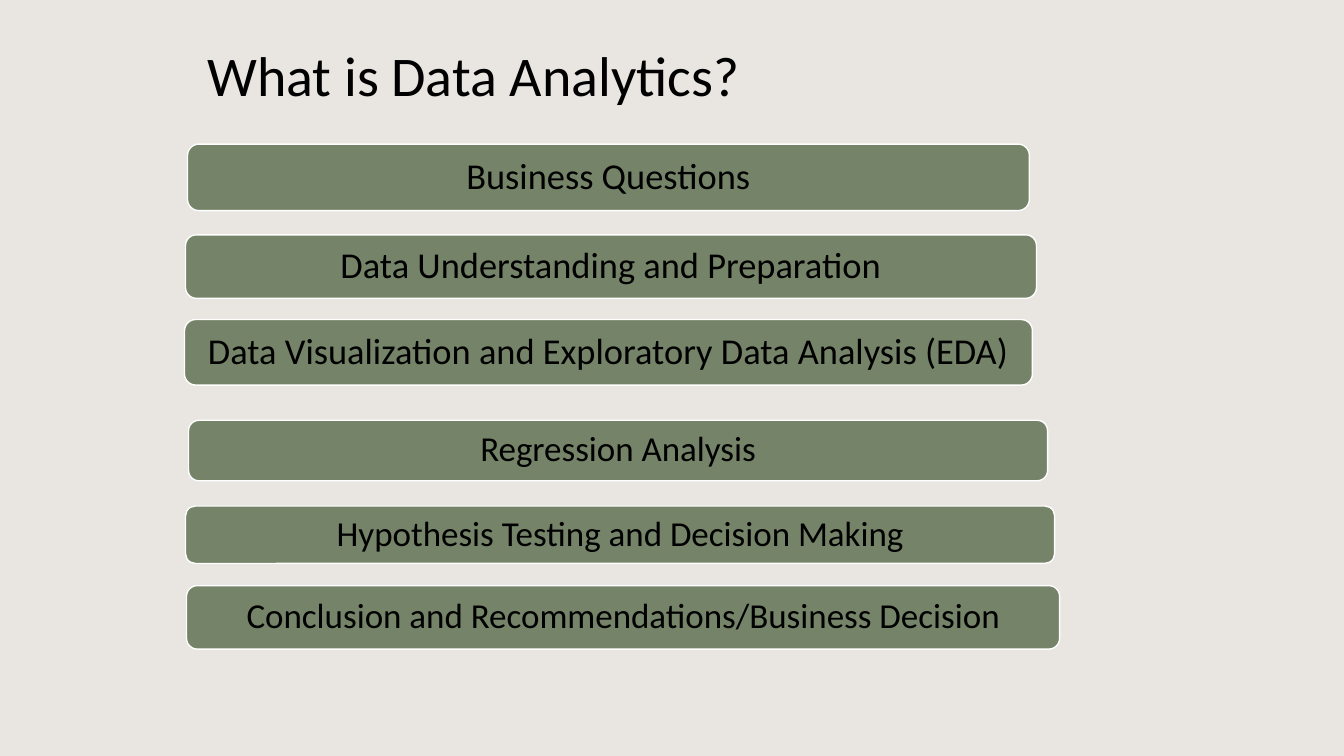
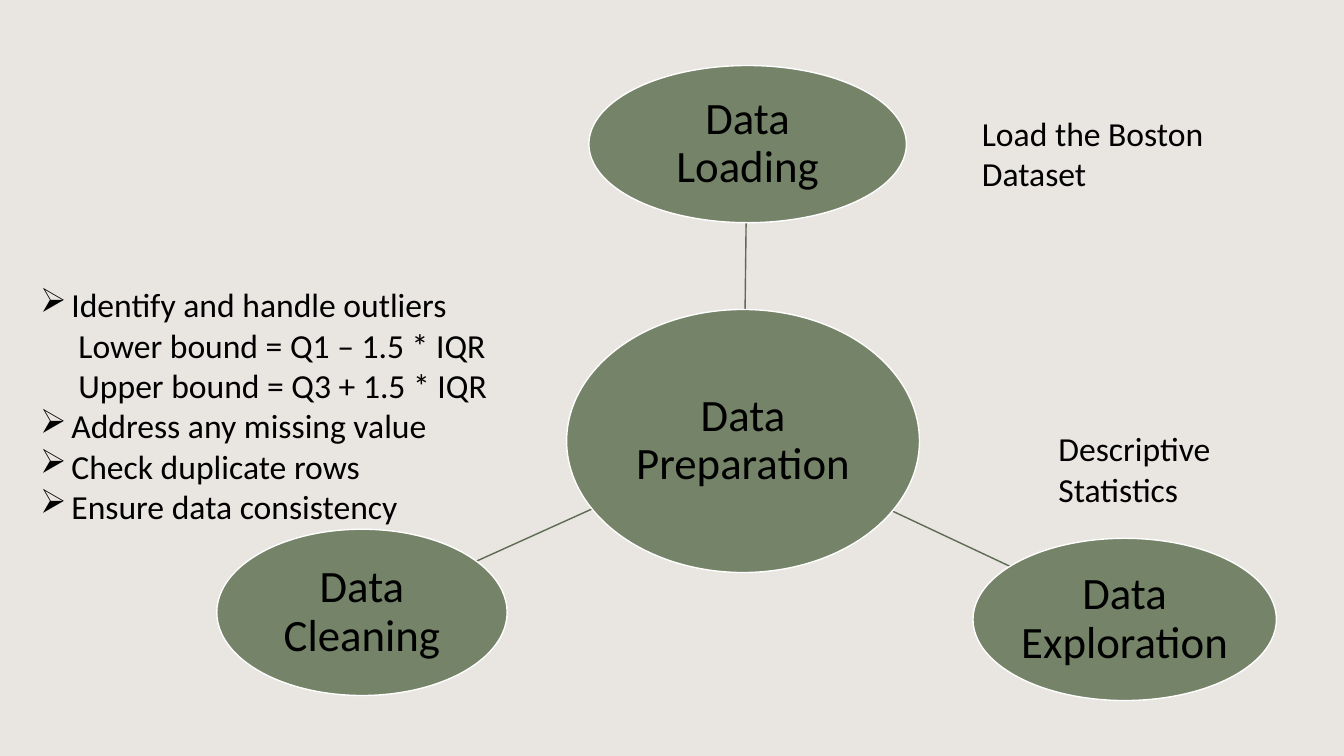
from lxml.etree import SubElement
from pptx import Presentation
from pptx.dml.color import RGBColor
from pptx.enum.shapes import MSO_CONNECTOR, MSO_SHAPE
from pptx.enum.text import MSO_ANCHOR, PP_ALIGN
from pptx.oxml.ns import qn
from pptx.util import Inches, Pt

FONT = "Calibri"
SAND = RGBColor(0xE9, 0xE5, 0xE1)
GREEN = RGBColor(0x75, 0x84, 0x68)
MOSS = RGBColor(0x5E, 0x6A, 0x53)
WHITE = RGBColor(0xFF, 0xFF, 0xFF)
BLACK = RGBColor(0x00, 0x00, 0x00)


def add_node(slide, kind, box, text, size, inset):
    """Add a green shape with centred text."""
    node = slide.shapes.add_shape(kind, *map(Inches, box))
    node.shadow.inherit = False
    node.fill.solid()
    node.fill.fore_color.rgb = GREEN
    node.line.color.rgb = WHITE
    node.line.width = Pt(1)
    if kind == MSO_SHAPE.ROUNDED_RECTANGLE:
        node.adjustments[0] = 0.17
    frame = node.text_frame
    frame.word_wrap = True
    frame.vertical_anchor = MSO_ANCHOR.MIDDLE
    frame.margin_left = frame.margin_right = Inches(inset)
    frame.margin_top = frame.margin_bottom = Inches(0.02)
    para = frame.paragraphs[0]
    para.text = text
    para.alignment = PP_ALIGN.CENTER
    para.line_spacing = 0.9
    para.font.name, para.font.size = FONT, Pt(size)
    para.font.color.rgb = BLACK


def add_text(slide, box, lines, size):
    """Add a text box; each line is (text, left indent, bullet or None)."""
    frame = slide.shapes.add_textbox(*map(Inches, box)).text_frame
    frame.word_wrap = True
    for i, (text, indent, bullet) in enumerate(lines):
        para = frame.add_paragraph() if i else frame.paragraphs[0]
        para.text = text
        props = para._p.get_or_add_pPr()
        if indent:
            props.set("marL", str(Inches(indent)))
        if bullet:
            props.set("indent", str(-Inches(indent)))
            SubElement(props, qn("a:buChar")).set("char", bullet)
        para.font.name, para.font.size = FONT, Pt(size)
        para.font.color.rgb = BLACK


prs = Presentation()
prs.slide_width, prs.slide_height = Inches(13.33), Inches(7.5)
back = prs.slide_master.background.fill
back.solid()
back.fore_color.rgb = SAND
blank = prs.slide_layouts[6]

# Slide 1: steps of data analytics
slide = prs.slides.add_slide(blank)
add_text(slide, (1.96, 0.35, 8.34, 0.77),
         [("What is Data Analytics?", 0, None)], 40)
steps = [
    ("Business Questions", 26, (1.86, 1.43, 8.35, 0.66)),
    ("Data Understanding and Preparation", 26, (1.84, 2.33, 8.44, 0.63)),
    ("Data Visualization and Exploratory Data Analysis (EDA)", 26,
     (1.83, 3.17, 8.41, 0.65)),
    ("Regression Analysis", 25, (1.87, 4.17, 8.52, 0.6)),
    ("Hypothesis Testing and Decision Making", 25, (1.84, 5.02, 8.62, 0.57)),
    ("Conclusion and Recommendations/Business Decision", 25,
     (1.85, 5.81, 8.66, 0.63)),
]
for text, size, box in steps:
    add_node(slide, MSO_SHAPE.ROUNDED_RECTANGLE, box, text, size, 0.1)

# Slide 2: data preparation hub
slide = prs.slides.add_slide(blank)
spokes = [(7.39, 3.07, 7.4, 2.21), (8.85, 5.07, 10.02, 5.62),
          (5.87, 5.05, 4.72, 5.57)]
for ends in spokes:
    spoke = slide.shapes.add_connector(MSO_CONNECTOR.STRAIGHT,
                                       *map(Inches, ends))
    spoke.line.color.rgb = MOSS
    spoke.line.width = Pt(1)
    SubElement(spoke._element.spPr, qn("a:effectLst"))

nodes = [
    ("Data Preparation", (5.62, 3.07, 3.5, 2.61)),
    ("Data Loading", (5.84, 0.65, 3.15, 1.56)),
    ("Data Exploration", (9.65, 5.34, 3.01, 1.61)),
    ("Data Cleaning", (2.15, 5.25, 2.88, 1.65)),
]
for text, box in nodes:
    add_node(slide, MSO_SHAPE.OVAL, box, text, 32, 0.02)

add_text(slide, (0.3, 2.77, 5.4, 3.33), [
    ("Identify and handle outliers", 0.31, "➢"),
    ("Lower bound = Q1 – 1.5 * IQR", 0.38, None),
    ("Upper bound = Q3 + 1.5 * IQR", 0.38, None),
    ("Address any missing value", 0.31, "➢"),
    ("Check duplicate rows", 0.31, "➢"),
    ("Ensure data consistency", 0.31, "➢"),
], 24)
add_text(slide, (10.4, 4.2, 2.47, 0.91),
         [("Descriptive Statistics", 0, None)], 24)
add_text(slide, (9.64, 1.07, 3.22, 0.91),
         [("Load the Boston Dataset", 0, None)], 24)

prs.save("out.pptx")
